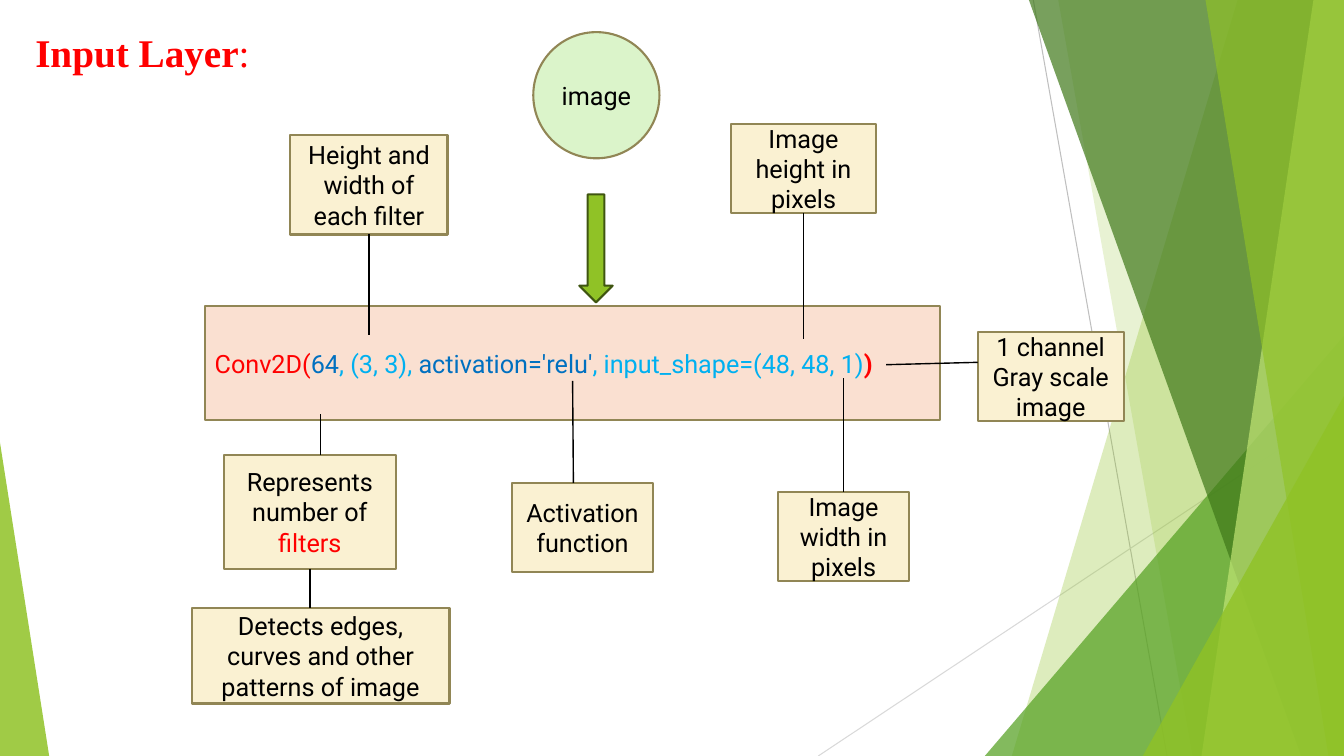
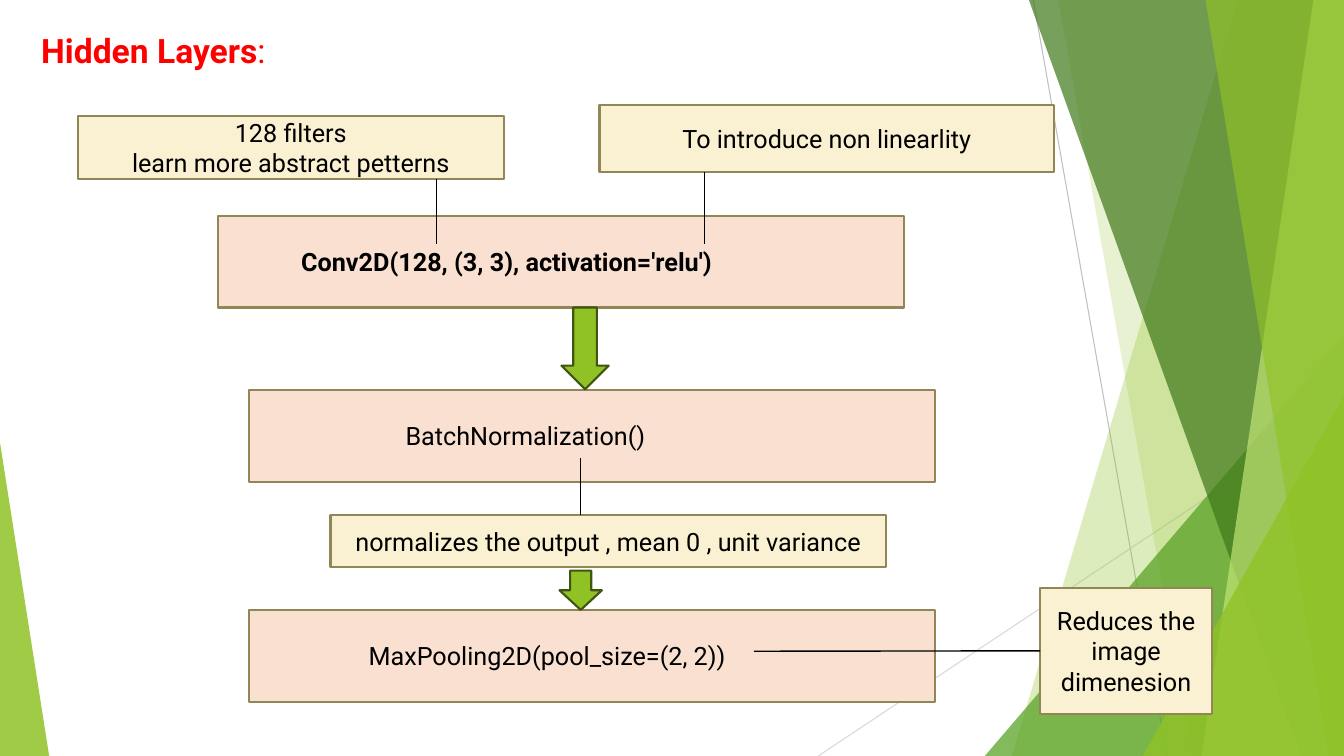
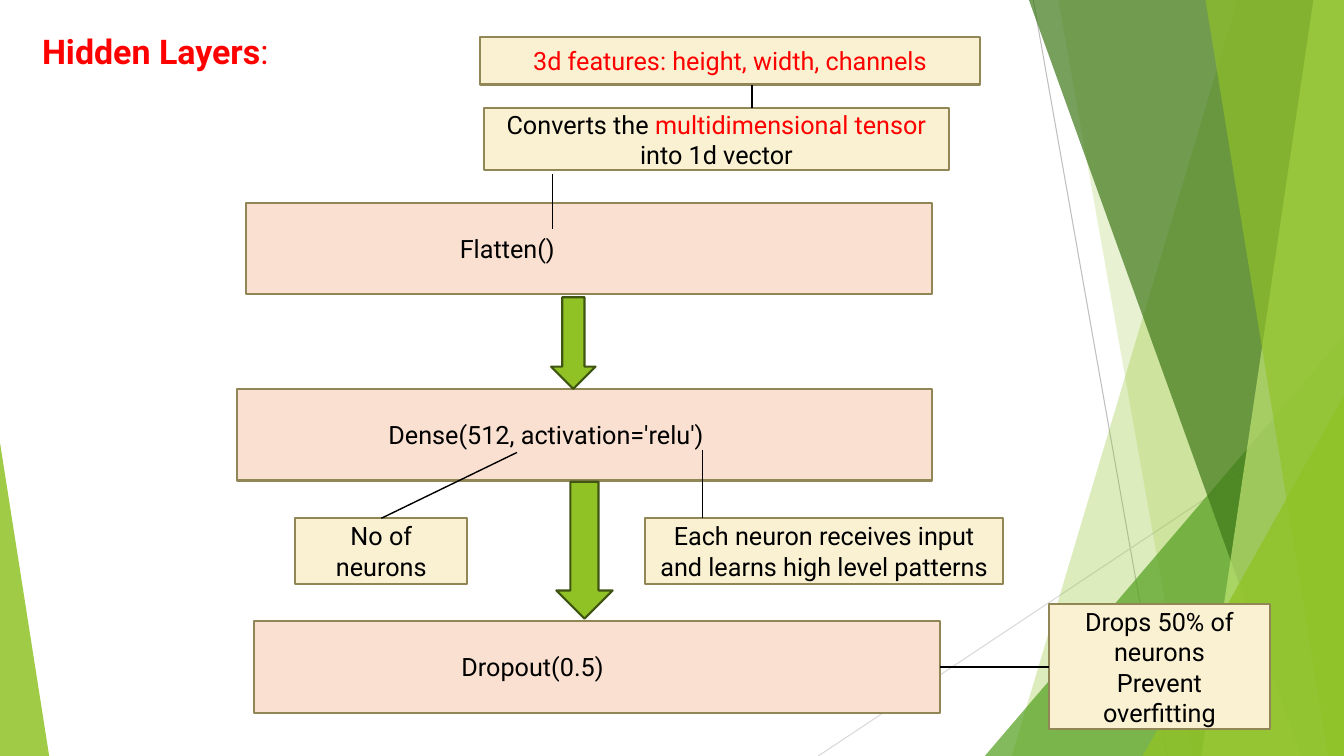
"""Build three slides that explain the layers of an image-classifying network."""
import pptx
import pptx.dml.color
import pptx.enum.shapes
import pptx.enum.text
import pptx.oxml.ns
import pptx.util
from lxml import etree

Cm, Pt = pptx.util.Cm, pptx.util.Pt
SHAPE = pptx.enum.shapes.MSO_SHAPE
ALIGN = pptx.enum.text.PP_ALIGN
STRAIGHT = pptx.enum.shapes.MSO_CONNECTOR.STRAIGHT

COLORS = {
    "black": "000000", "red": "FF0000", "blue": "0070C0", "sky": "00B0F0",
    "layer": "FAE0D1", "callout": "FAF1D2", "input": "DBF4CA", "outline": "918655",
    "green": "90C226", "arrow edge": "3F5511", "mid green": "54A021",
    "dark green": "3F7819", "light green": "C0E474",
    "gray": "BFBFBF", "pale gray": "D9D9D9",
}
BODY_FONT = "Roboto"
SLIDE_W, SLIDE_H = 33.87, 19.05
TOP, BOTTOM, LEFT, RIGHT = 0, 2, 1, 3
INSET = 0.25
LAYER_W, LAYER_H = 17.3, 2.31

RAYS = [
    ((26.04, 0), (29.41, SLIDE_H), "gray"),
    ((SLIDE_W, 10.24), (20.62, SLIDE_H), "pale gray"),
]
FACETS = [
    ("pane", (31.19, 25.5), "green", 30),
    ("pane", (26.67, 30.05), "green", 20),
    ("wedge", (24.82, 8.46, 9.05, 1), "mid green", 72),
    ("pane", (25.93, 32.79), "dark green", 70),
    ("pane", (33.1, 30.28), "light green", 70),
    ("pane", (30.38, 33.48), "green", 65),
    ("wedge", (28.8, 9.98, 5.07, 1), "green", 80),
    ("wedge", (0, 11.15, 1.24, 0), "green", 85),
]

SLIDES = [
    {
        "title": ("Input Layer", (0.64, 0.58), "Times New Roman", 28),
        "layers": {
            "conv": ([[("Conv2D(", "red"), ("64", "blue"), (", (3, 3), ", "sky"),
                       ("activation='relu'", "blue"),
                       (", input_shape=(48, 48, 1)", "sky"), (")", "red", True)]],
                     (5.16, 7.72, 18.52, 2.87), INSET),
        },
        "inputs": {"image": (["image"], (13.44, 0.81, 3.18, 3.18))},
        "callouts": {
            "height": (["Image height in pixels"], (18.42, 3.12, 3.66, 2.24)),
            "width": (["Image width in pixels"], (19.61, 12.4, 3.3, 2.24)),
            "channel": (["1 channel", "Gray scale image"], (24.64, 8.36, 3.68, 2.24)),
            "filters": ([[("Represents number of ", "black"), ("filters", "red")]],
                        (5.64, 11.46, 4.34, 2.87)),
            "edges": (["Detects edges, curves and other patterns of image"],
                      (4.83, 15.32, 6.5, 2.41)),
            "kernel": (["Height and width of each filter"], (7.32, 3.4, 3.96, 2.51)),
            "activation": (["Activation function"], (12.9, 12.17, 3.56, 2.24)),
        },
        "arrows": [(14.6, 4.9, 0.84, 2.72)],
        "links": [
            (("height", BOTTOM), (20.25, 8.53)),
            ((21.26, 9.53), ("width", TOP)),
            ((24.64, 9.13), (22.33, 9.19)),
            ((8.08, 10.44), (8.08, 11.46)),
            (("filters", BOTTOM), (7.81, 15.32)),
            (("kernel", BOTTOM), (9.3, 8.43)),
            ((14.43, 9.6), (14.45, 12.17)),
        ],
    },
    {
        "title": ("Hidden Layers", (0.79, 0.64), BODY_FONT, 24),
        "layers": {
            "conv": ([[("Conv2D(128, (3, 3), activation='relu')", "black", True)]],
                     (5.49, 5.44, LAYER_W, LAYER_H), 2.1),
            "norm": (["BatchNormalization()"], (6.27, 9.83, LAYER_W, LAYER_H), 3.95),
            "pool": (["MaxPooling2D(pool_size=(2, 2))"],
                     (6.27, 15.37, LAYER_W, LAYER_H), 3.02),
        },
        "inputs": {},
        "callouts": {
            "filters": (["128 filters", "learn more abstract petterns"],
                        (1.96, 2.92, 10.74, 1.6)),
            "relu": (["To introduce non linearlity"], (15.11, 2.64, 11.46, 1.7)),
            "variance": (["normalizes the output , mean 0 , unit variance"],
                         (8.33, 12.98, 14, 1.32)),
            "reduces": (["Reduces the image dimenesion"], (26.21, 14.81, 4.34, 3.18)),
        },
        "arrows": [(14.15, 7.75, 1.19, 2.06), (14.1, 14.38, 1.07, 0.99)],
        "links": [
            ((11, 6.15), (11, 4.52)),
            ((17.75, 6.15), (17.75, 4.34)),
            ((14.63, 12.98), (14.63, 11.53)),
            ((19, 16.41), ("reduces", LEFT)),
        ],
    },
    {
        "title": ("Hidden Layers", (0.81, 0.64), BODY_FONT, 24.3),
        "layers": {
            "flatten": (["Flatten()"], (6.2, 5.11, LAYER_W, LAYER_H), 5.39),
            "dense": (["Dense(512, activation='relu')"],
                      (5.97, 9.8, 17.53, LAYER_H), 3.82),
            "dropout": (["Dropout(0.5)"], (6.4, 15.65, LAYER_W, LAYER_H), 5.23),
        },
        "inputs": {},
        "callouts": {
            "vector": ([[("Converts the ", "black"), ("multidimensional tensor ", "red"),
                         ("into 1d vector", "black")]], (12.19, 2.72, 11.73, 1.57)),
            "features": ([[("3d features: height, width, channels", "red")]],
                         (12.09, 0.94, 12.62, 1.19)),
            "neurons": (["No of neurons"], (7.44, 13.06, 4.34, 1.65)),
            "patterns": (["Each neuron receives input and learns high level patterns"],
                         (16.26, 13.06, 9.02, 1.65)),
            "drops": (["Drops 50% of neurons", "Prevent overfitting"],
                      (26.44, 15.23, 5.56, 3.15)),
        },
        "arrows": [(13.89, 7.49, 1.12, 2.31), (14.02, 12.14, 1.42, 3.45)],
        "links": [
            ((13.92, 5.77), (13.92, 4.39)),
            ((18.95, 2.72), (18.95, 2.13)),
            ((13.03, 11.4), ("neurons", TOP)),
            ((17.7, 11.35), (17.7, 13.06)),
            (("dropout", RIGHT), ("drops", LEFT)),
        ],
    },
]


def rgb(color):
    return pptx.dml.color.RGBColor.from_string(COLORS[color])


def cms(values):
    return [Cm(value) for value in values]


def paint(shape, fill, outline=None):
    shape.shadow.inherit = False
    shape.fill.solid()
    shape.fill.fore_color.rgb = rgb(fill)
    if outline:
        shape.line.color.rgb = rgb(outline)
        shape.line.width = Pt(1.5)
    else:
        shape.line.fill.background()


def write(frame, paragraphs, align, font=BODY_FONT, size=18):
    frame.word_wrap = True
    for index, content in enumerate(paragraphs):
        paragraph = frame.add_paragraph() if index else frame.paragraphs[0]
        runs = [(content, "black")] if isinstance(content, str) else content
        paragraph.alignment = align
        paragraph.font.name = font
        paragraph.font.size = Pt(size)
        one_color = len({run[1] for run in runs}) == 1
        one_weight = len({run[2:] for run in runs}) == 1
        if one_color:
            paragraph.font.color.rgb = rgb(runs[0][1])
        if one_weight:
            paragraph.font.bold = bool(runs[0][2:])
        for text, color, *bold in runs:
            run = paragraph.add_run()
            run.text = text
            if not one_color:
                run.font.color.rgb = rgb(color)
            if not one_weight:
                run.font.bold = bool(bold)


def add_box(slide, preset, fill, paragraphs, place, indent=None):
    box = slide.shapes.add_shape(preset, *cms(place))
    paint(box, fill, "outline")
    box.text_frame.vertical_anchor = pptx.enum.text.MSO_ANCHOR.MIDDLE
    if indent is not None:
        box.text_frame.margin_left = Cm(indent)
    write(box.text_frame, paragraphs, ALIGN.CENTER if indent is None else ALIGN.LEFT)
    return box


def add_line(slide, start, end, color, width):
    line = slide.shapes.add_connector(STRAIGHT, *cms(start + end))
    line.line.color.rgb = rgb(color)
    line.line.width = Pt(width)
    etree.SubElement(line.element.xpath("p:spPr")[0], pptx.oxml.ns.qn("a:effectLst"))
    return line


def add_link(slide, boxes, start, end):
    joined = [point[0] in boxes for point in (start, end)]
    link = add_line(slide, (0, 0) if joined[0] else start,
                    (0, 0) if joined[1] else end, "black", 1)
    if joined[0]:
        link.begin_connect(boxes[start[0]], start[1])
    if joined[1]:
        link.end_connect(boxes[end[0]], end[1])


def add_facet(slide, kind, geometry, color, opacity):
    if kind == "pane":
        top, bottom = geometry
        outline = slide.shapes.build_freeform(Cm(top), 0, scale=1.0)
        corners = [(SLIDE_W, 0), (SLIDE_W, SLIDE_H), (bottom, SLIDE_H)]
        outline.add_line_segments([cms(corner) for corner in corners], close=True)
        facet = outline.convert_to_shape()
    else:
        left, top, width, apex = geometry
        facet = slide.shapes.add_shape(SHAPE.ISOSCELES_TRIANGLE,
                                       *cms((left, top, width, SLIDE_H - top)))
        facet.adjustments[0] = apex
    paint(facet, color)
    tint = facet.element.xpath("p:spPr/a:solidFill/a:srgbClr")[0]
    etree.SubElement(tint, pptx.oxml.ns.qn("a:alpha"), val=str(opacity * 1000))


def add_backdrop(slide, master):
    for start, end, color in RAYS:
        add_line(slide, start, end, color, 0.75)
    for facet in FACETS:
        add_facet(slide, *facet)
    for number, part in enumerate(list(slide.shapes), start=100):
        part.element.xpath(".//p:cNvPr")[0].set("id", str(number))
        master.shapes.element.append(part.element)


def fill_slide(slide, content):
    heading, corner, font, size = content["title"]
    title = slide.shapes.add_textbox(*cms(corner + (12, 1.27)))
    write(title.text_frame, [[(heading, "red", True), (":", "red")]],
          ALIGN.LEFT, font, size)
    boxes = {}
    for group, preset, fill in (("layers", SHAPE.RECTANGLE, "layer"),
                                ("inputs", SHAPE.OVAL, "input"),
                                ("callouts", SHAPE.RECTANGLE, "callout")):
        for key, box in content[group].items():
            boxes[key] = add_box(slide, preset, fill, *box)
    for place in content["arrows"]:
        paint(slide.shapes.add_shape(SHAPE.DOWN_ARROW, *cms(place)), "green", "arrow edge")
    for start, end in content["links"]:
        add_link(slide, boxes, start, end)


def main():
    deck = pptx.Presentation()
    deck.slide_width, deck.slide_height = Cm(SLIDE_W), Cm(SLIDE_H)
    blank = deck.slide_layouts[6]
    slides = [deck.slides.add_slide(blank) for _ in SLIDES]
    add_backdrop(slides[0], deck.slide_master)
    for slide, content in zip(slides, SLIDES):
        fill_slide(slide, content)
    deck.save("out.pptx")


if __name__ == "__main__":
    main()
